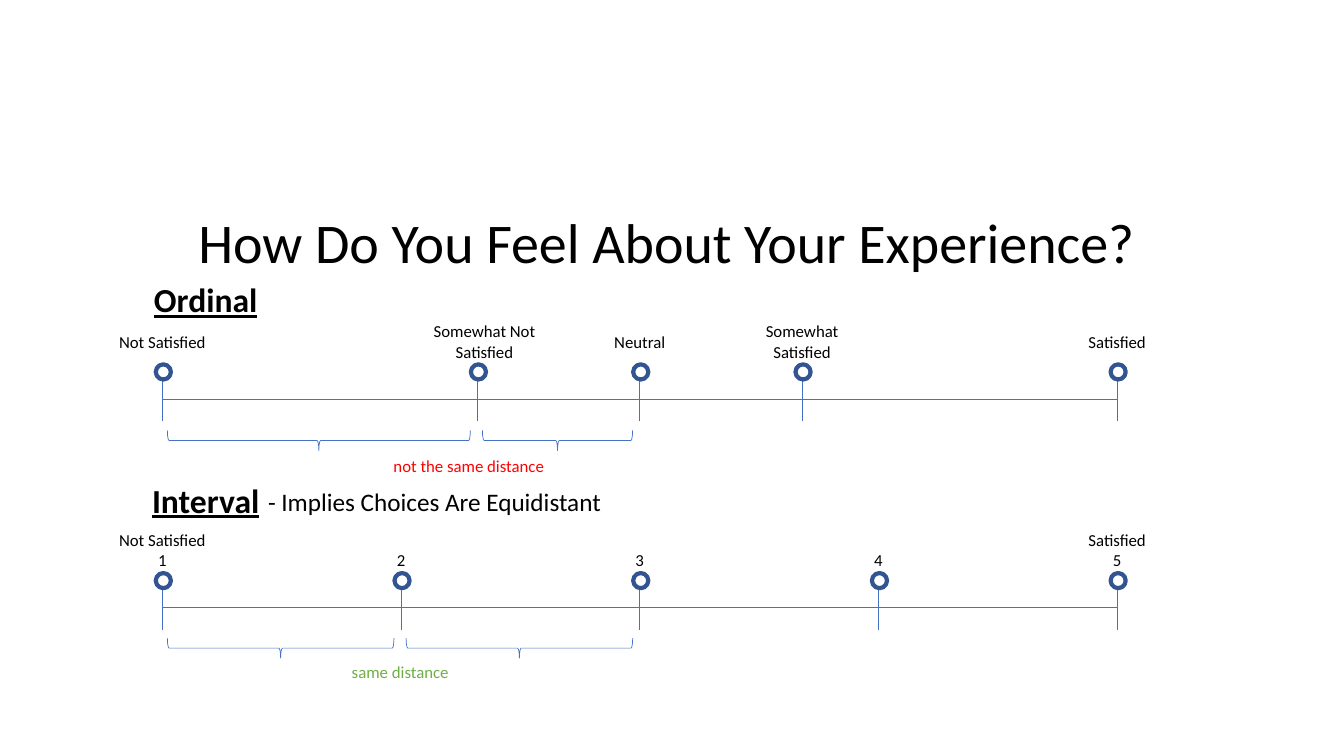
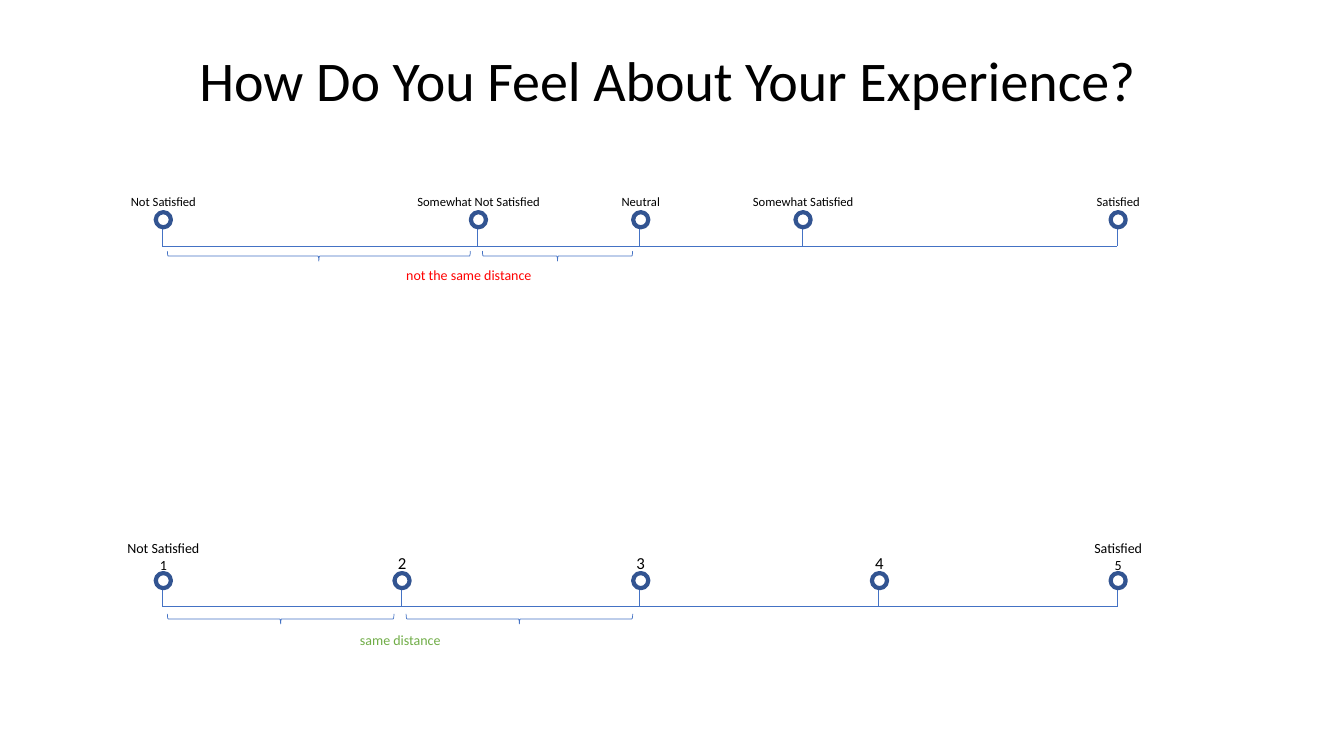
"""Build two slides that compare ordinal and interval satisfaction scales."""
from collections import namedtuple

from lxml.etree import SubElement
from pptx import Presentation
from pptx.dml.color import RGBColor
from pptx.enum.shapes import MSO_CONNECTOR, MSO_SHAPE
from pptx.enum.text import MSO_AUTO_SIZE, PP_ALIGN
from pptx.oxml.ns import qn
from pptx.util import Inches, Pt

BLACK = RGBColor(0x00, 0x00, 0x00)
WHITE = RGBColor(0xFF, 0xFF, 0xFF)
RED = RGBColor(0xFF, 0x00, 0x00)
GREEN = RGBColor(0x70, 0xAD, 0x47)
AXIS_BLUE = RGBColor(0x44, 0x72, 0xC4)
DOT_BLUE = RGBColor(0x32, 0x54, 0x91)

FONT = "Calibri"
TITLE = "How Do You Feel About Your Experience?"
SLIDE_WIDTH, SLIDE_HEIGHT = 13.33, 7.5
AXIS_LEFT, AXIS_RIGHT = 1.61, 11.08
AXIS_LENGTH = AXIS_RIGHT - AXIS_LEFT
LABEL_WIDTH, NOTE_WIDTH, TITLE_WIDTH = 1.48, 2.91, 11.76
DOT_SIZE = 0.15
BRACE_GAP = 0.12

ORDINAL_STOPS = (0, 0.33, 0.5, 0.67, 1)
INTERVAL_STOPS = (0, 0.25, 0.5, 0.75, 1)
ORDINAL_LABELS = ("Not Satisfied", "Somewhat Not Satisfied", "Neutral",
                  "Somewhat Satisfied", "Satisfied")
INTERVAL_LABELS = ("Not Satisfied\n1", "2", "3", "4", "Satisfied\n5")
ORDINAL_NOTE = ("not the same distance", RED, 4.65)
INTERVAL_NOTE = ("same distance", GREEN, 3.97)

Scale = namedtuple("Scale", "stops labels rows sizes nudges anchor label_y dot_y axis_y "
                            "stem_drop brace_drop brace_height note note_drop note_size")

slide_plans = [
    (0.73, 2.01, [
        Scale(ORDINAL_STOPS, ORDINAL_LABELS, (1, 2, 1, 2, 1), (12,) * 5,
              (0, 0.07, 0, 0, 0), 0.5, 3.39, 3.69, 3.96, 0.22, 0.41, 0.2,
              ORDINAL_NOTE, 0.51, 12),
        Scale(INTERVAL_STOPS, INTERVAL_LABELS, (2, 1, 1, 1, 2), (12,) * 5,
              (0,) * 5, 1, 5.71, 5.76, 6.03, 0.22, 0.4, 0.2,
              INTERVAL_NOTE, 0.49, 12),
    ]),
    (0.74, 0.4, [
        Scale(ORDINAL_STOPS, ORDINAL_LABELS, (1,) * 5, (9,) * 5,
              (0.01,) * 5, 0.5, 2.0, 2.18, 2.44, 0, 0.1, 0.1,
              ORDINAL_NOTE, 0.15, 10),
        Scale(INTERVAL_STOPS, INTERVAL_LABELS, (2, 1, 1, 1, 2), (10, 12, 12, 12, 10),
              (0.01,) * 5, 1, 5.74, 5.76, 6.02, 0, 0.12, 0.1,
              INTERVAL_NOTE, 0.2, 10),
    ]),
]


def add_text(slide, text, left, top, width, size, color=BLACK, rows=1, anchor=0,
             heading=False, align=PP_ALIGN.CENTER, wrap=True):
    height = 0.1 + rows * size * 1.22 / 72
    box = slide.shapes.add_textbox(Inches(left), Inches(top - anchor * height),
                                   Inches(width), Inches(height))
    frame = box.text_frame
    frame.word_wrap = wrap
    frame.auto_size = MSO_AUTO_SIZE.SHAPE_TO_FIT_TEXT
    frame.text = text
    for paragraph in frame.paragraphs:
        paragraph.alignment = align
        for run in paragraph.runs:
            run.font.name = FONT
            run.font.size = Pt(size)
            run.font.color.rgb = color
            if heading:
                run.font.bold = run.font.underline = True


def add_line(slide, x1, y1, x2, y2):
    line = slide.shapes.add_connector(MSO_CONNECTOR.STRAIGHT, Inches(x1), Inches(y1),
                                      Inches(x2), Inches(y2))
    line.line.color.rgb = AXIS_BLUE
    line.line.width = Pt(0.5)
    SubElement(line.element.spPr, qn("a:effectLst"))


deck = Presentation()
deck.slide_width = Inches(SLIDE_WIDTH)
deck.slide_height = Inches(SLIDE_HEIGHT)
slides = []

for title_left, title_top, scales in slide_plans:
    slide = deck.slides.add_slide(deck.slide_layouts[6])
    slides.append(slide)
    add_text(slide, TITLE, title_left, title_top, TITLE_WIDTH, 40)

    for scale in scales:
        ticks = [AXIS_LEFT + AXIS_LENGTH * stop for stop in scale.stops]
        add_line(slide, AXIS_LEFT, scale.axis_y, AXIS_RIGHT, scale.axis_y)

        for tick, label, rows, size, nudge in zip(ticks, scale.labels, scale.rows,
                                                  scale.sizes, scale.nudges):
            add_line(slide, tick, scale.dot_y + 0.05, tick, scale.axis_y + scale.stem_drop)
            add_text(slide, label, tick + nudge - LABEL_WIDTH / 2, scale.label_y,
                     LABEL_WIDTH, size, rows=rows, anchor=scale.anchor)
            dot = slide.shapes.add_shape(
                MSO_SHAPE.OVAL, Inches(tick + 0.01 - DOT_SIZE / 2),
                Inches(scale.dot_y - DOT_SIZE / 2), Inches(DOT_SIZE), Inches(DOT_SIZE))
            dot.shadow.inherit = False
            dot.fill.solid()
            dot.fill.fore_color.rgb = WHITE
            dot.line.color.rgb = DOT_BLUE
            dot.line.width = Pt(3)

        for start, end in zip(ticks[:2], ticks[1:3]):
            span = end - start - BRACE_GAP
            brace = slide.shapes.add_shape(
                MSO_SHAPE.LEFT_BRACE,
                Inches((start + end - scale.brace_height) / 2 - 0.01),
                Inches(scale.axis_y + scale.brace_drop - span / 2),
                Inches(scale.brace_height), Inches(span))
            brace.rotation = 270
            brace.shadow.inherit = False
            brace.fill.background()
            brace.line.color.rgb = AXIS_BLUE
            brace.line.width = Pt(0.5)

        note, note_color, note_center = scale.note
        add_text(slide, note, note_center - NOTE_WIDTH / 2, scale.axis_y + scale.note_drop,
                 NOTE_WIDTH, scale.note_size, note_color)

for heading, top in (("Ordinal", 2.72), ("Interval", 4.71)):
    add_text(slides[0], heading, 1.3, top, LABEL_WIDTH, 24, heading=True)
add_text(slides[0], "- Implies Choices Are Equidistant", 2.56, 4.78, 3.55, 18,
         align=PP_ALIGN.LEFT, wrap=False)

deck.save("out.pptx")
